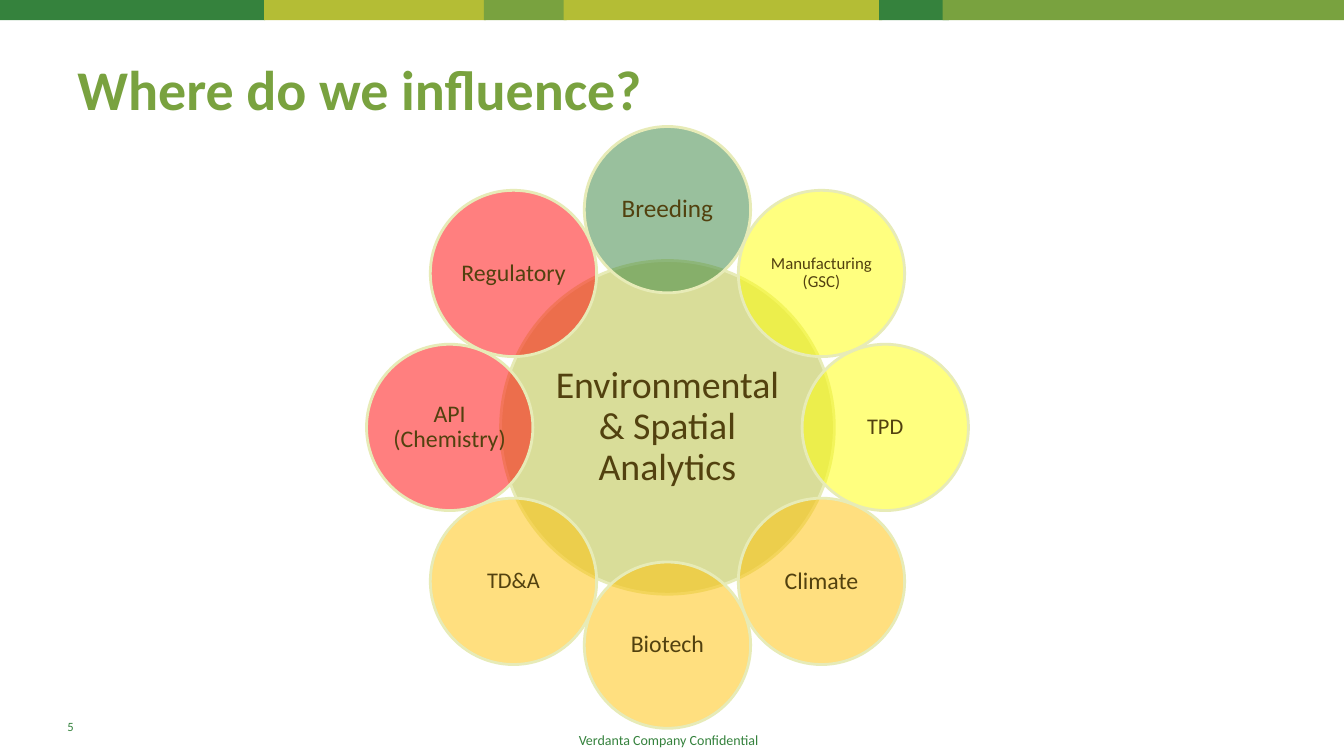
import math

import pptx
import pptx.dml.color
import pptx.enum.shapes
import pptx.enum.text
import pptx.oxml
import pptx.oxml.ns
import pptx.util

Inches = pptx.util.Inches
Pt = pptx.util.Pt
SHAPE = pptx.enum.shapes.MSO_SHAPE
ALIGN = pptx.enum.text.PP_ALIGN
ANCHOR = pptx.enum.text.MSO_ANCHOR

GREEN, LIME, LEAF = "35823D", "B4BD35", "79A23F"
RED, YELLOW, AMBER = "FF0000", "FFFF00", "FFC000"
BROWN, CREAM = "52410F", "E7EBB7"

BANDS = [
    (0, 2.63, GREEN), (2.62, 2.2, LIME), (4.8, 0.82, LEAF),
    (5.59, 3.16, LIME), (8.72, 0.69, GREEN), (9.35, 3.98, LEAF),
]
# Clockwise from the top
TEAMS = [
    ("Breeding", 18, GREEN), ("Manufacturing (GSC)", 12, YELLOW),
    ("TPD", 16, YELLOW), ("Climate", 17, AMBER),
    ("Biotech", 17, AMBER), ("TD&A", 16, AMBER),
    ("API (Chemistry)", 17, RED), ("Regulatory", 17, RED),
]
HUB_X, HUB_Y, HUB_SIZE = 6.62, 4.24, 3.31
ORBIT, TEAM_SIZE = 2.16, 1.65


def color(code):
    return pptx.dml.color.RGBColor.from_string(code)


class Deck:
    font = "Calibri"

    def __init__(self):
        self.prs = pptx.Presentation()
        self.prs.slide_width = Inches(13.33)
        self.prs.slide_height = Inches(7.5)
        self.slide = self.prs.slides.add_slide(self.prs.slide_layouts[6])

    def shape(self, kind, x, y, w, h, fill):
        item = self.slide.shapes.add_shape(
            kind, Inches(x), Inches(y), Inches(w), Inches(h))
        item.shadow.inherit = False
        item.fill.solid()
        item.fill.fore_color.rgb = color(fill)
        item.line.fill.background()
        return item

    def text(self, frame, words, size, tint, align, space=1.0, bold=False):
        frame.word_wrap = True
        para = frame.paragraphs[0]
        para.alignment = align
        para.line_spacing = space
        run = para.add_run()
        run.text = words
        run.font.name = self.font
        run.font.size = Pt(size)
        run.font.bold = bold
        run.font.color.rgb = color(tint)

    def label(self, x, y, w, h, words, size, tint, align=ALIGN.LEFT,
              anchor=ANCHOR.MIDDLE, **style):
        box = self.slide.shapes.add_textbox(
            Inches(x), Inches(y), Inches(w), Inches(h))
        box.text_frame.vertical_anchor = anchor
        self.text(box.text_frame, words, size, tint, align, **style)

    def circle(self, x, y, size, words, points, fill, inset=0.02):
        """Draw a half-transparent labelled circle centred on x, y."""
        item = self.shape(SHAPE.OVAL, x - size / 2, y - size / 2,
                          size, size, fill)
        tone = item.element.spPr.find(
            pptx.oxml.ns.qn("a:solidFill") + "/" + pptx.oxml.ns.qn("a:srgbClr"))
        tone.append(pptx.oxml.parse_xml(
            '<a:alpha val="50000" xmlns:a='
            '"http://schemas.openxmlformats.org/drawingml/2006/main"/>'))
        item.line.color.rgb = color(CREAM)
        item.line.width = Pt(2)
        frame = item.text_frame
        frame.vertical_anchor = ANCHOR.MIDDLE
        frame.margin_left = frame.margin_right = Inches(inset)
        frame.margin_top = frame.margin_bottom = Inches(inset)
        self.text(frame, words, points, BROWN, ALIGN.CENTER, space=0.9)


def main():
    deck = Deck()
    for x, width, fill in BANDS:
        deck.shape(SHAPE.RECTANGLE, x, 0, width, 0.2, fill)
    deck.label(4.52, 7.21, 4.22, 0.29, "Verdanta Company Confidential",
               10, GREEN, ALIGN.CENTER, ANCHOR.TOP)
    deck.label(0.57, 7.01, 3.38, 0.4, "5", 9, GREEN)
    deck.label(0.67, 0.42, 12.28, 1.02, "Where do we influence?",
               40, LEAF, space=0.85, bold=True)

    deck.circle(HUB_X, HUB_Y, HUB_SIZE, "Environmental & Spatial Analytics",
                27, LIME, inset=0.04)
    for i, (name, points, fill) in enumerate(TEAMS):
        turn = 2 * math.pi * i / len(TEAMS)
        deck.circle(HUB_X + ORBIT * math.sin(turn),
                    HUB_Y - ORBIT * math.cos(turn),
                    TEAM_SIZE, name, points, fill)
    deck.prs.save("out.pptx")


if __name__ == "__main__":
    main()
